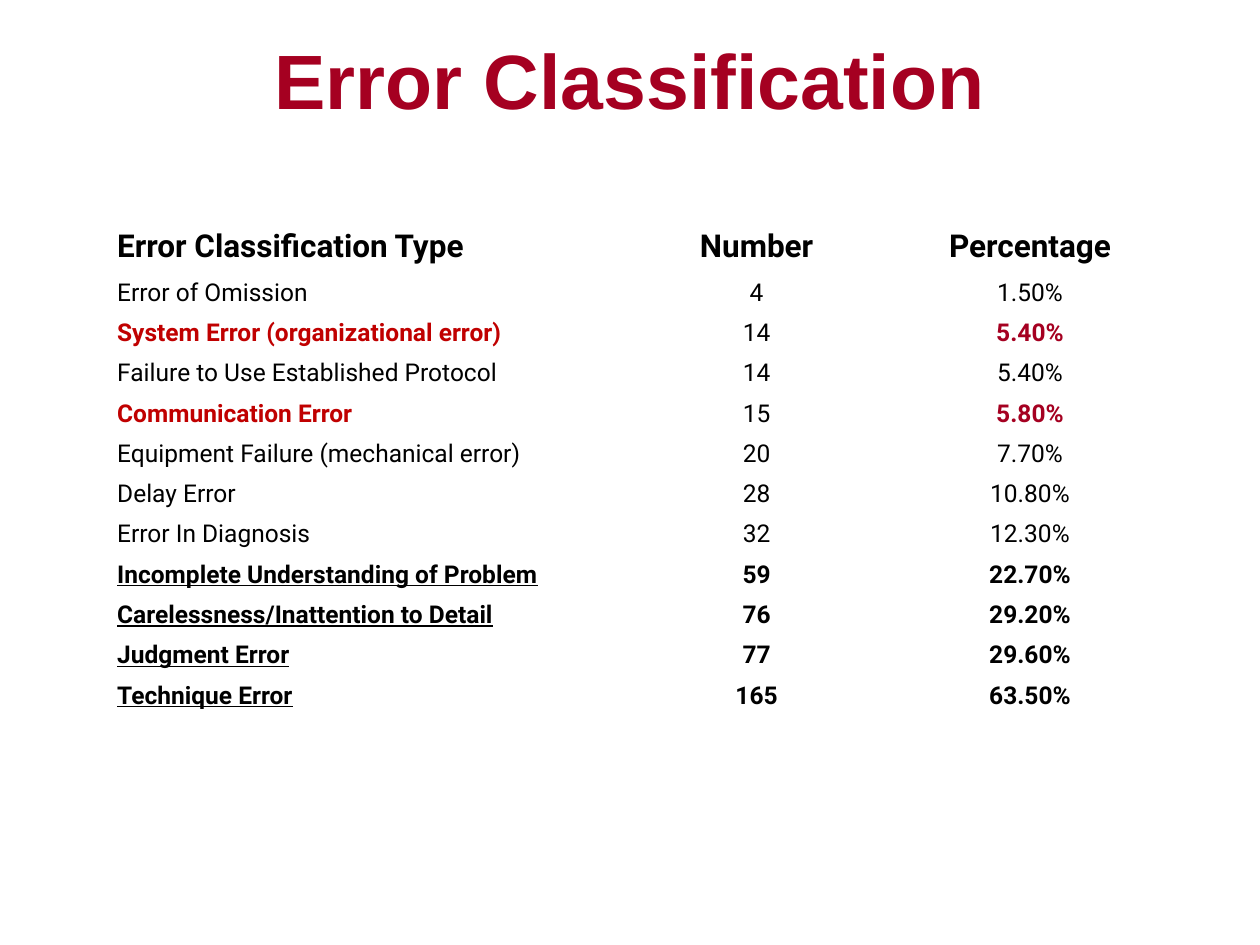
from dataclasses import dataclass

from pptx import Presentation
from pptx.dml.color import RGBColor
from pptx.enum.text import MSO_ANCHOR, PP_ALIGN
from pptx.util import Inches, Pt

LEFT, CENTER = PP_ALIGN.LEFT, PP_ALIGN.CENTER
MIDDLE = MSO_ANCHOR.MIDDLE


@dataclass(frozen=True)
class Theme:
    title_font: str = "Arial"
    table_font: str = "Roboto"
    black: str = "000000"
    red: str = "C00000"
    crimson: str = "A50021"
    title_size: int = 44
    header_size: int = 18
    body_size: int = 14


HEADERS = ("Error Classification Type", "Number", "Percentage")
PLAIN, ALERT, MAJOR = "plain", "alert", "major"
ERRORS = [
    ("Error of Omission", "4", "1.50%", PLAIN),
    ("System Error (organizational error)", "14", "5.40%", ALERT),
    ("Failure to Use Established Protocol", "14", "5.40%", PLAIN),
    ("Communication Error", "15", "5.80%", ALERT),
    ("Equipment Failure (mechanical error)", "20", "7.70%", PLAIN),
    ("Delay Error", "28", "10.80%", PLAIN),
    ("Error In Diagnosis", "32", "12.30%", PLAIN),
    ("Incomplete Understanding of Problem", "59", "22.70%", MAJOR),
    ("Carelessness/Inattention to Detail", "76", "29.20%", MAJOR),
    ("Judgment Error", "77", "29.60%", MAJOR),
    ("Technique Error", "165", "63.50%", MAJOR),
]
COLUMN_WIDTHS = (4.33, 1.51, 2.83)
HEADER_HEIGHT, ROW_HEIGHT = 0.41, 0.32


class SlideBuilder:
    def __init__(self, slide, theme):
        self.s = slide
        self.theme = theme

    def add_run(self, tf, text, font, size, color, align, bold=False, underline=False):
        p = tf.paragraphs[0]
        p.alignment = align
        r = p.add_run()
        r.text = text
        r.font.name = font
        r.font.size = Pt(size)
        r.font.bold = bold
        r.font.underline = underline
        r.font.color.rgb = RGBColor.from_string(color)

    def title(self, text, left, top, width, height):
        t = self.theme
        sp = self.s.shapes.add_textbox(
            Inches(left), Inches(top), Inches(width), Inches(height))
        tf = sp.text_frame
        tf.word_wrap = True
        tf.vertical_anchor = MIDDLE
        self.add_run(tf, text, t.title_font, t.title_size, t.crimson, CENTER, bold=True)

    def cell(self, cell, text, size, color, align, bold, underline=False):
        cell.fill.background()
        cell.vertical_anchor = MIDDLE
        cell.margin_left = cell.margin_right = cell.margin_top = Inches(0.01)
        cell.margin_bottom = 0
        self.add_run(cell.text_frame, text, self.theme.table_font, size, color,
                     align, bold, underline)

    def error_table(self, left, top):
        t = self.theme
        height = HEADER_HEIGHT + ROW_HEIGHT * len(ERRORS)
        table = self.s.shapes.add_table(
            len(ERRORS) + 1, len(HEADERS), Inches(left), Inches(top),
            Inches(sum(COLUMN_WIDTHS)), Inches(height)).table
        table.first_row = table.horz_banding = False
        for column, width in zip(table.columns, COLUMN_WIDTHS):
            column.width = Inches(width)
        for i, row in enumerate(table.rows):
            row.height = Inches(ROW_HEIGHT if i else HEADER_HEIGHT)

        # Header row
        aligns = (LEFT, CENTER, CENTER)
        for col, (text, align) in enumerate(zip(HEADERS, aligns)):
            self.cell(table.cell(0, col), text, t.header_size, t.black, align, True)

        # Alert rows colour the type and percentage; major rows are all bold
        alert_colors = (t.red, t.black, t.crimson)
        for i, (*values, kind) in enumerate(ERRORS, start=1):
            for col, (text, align) in enumerate(zip(values, aligns)):
                color = alert_colors[col] if kind == ALERT else t.black
                bold = kind == MAJOR or color != t.black
                self.cell(table.cell(i, col), text, t.body_size, color, align,
                          bold, underline=kind == MAJOR and col == 0)


def main():
    prs = Presentation()
    prs.slide_width, prs.slide_height = Inches(10), Inches(7.5)
    builder = SlideBuilder(prs.slides.add_slide(prs.slide_layouts[6]), Theme())
    builder.title("Error Classification", 0.5, 0, 9, 1.25)
    builder.error_table(0.92, 1.75)
    prs.save("out.pptx")


if __name__ == "__main__":
    main()
